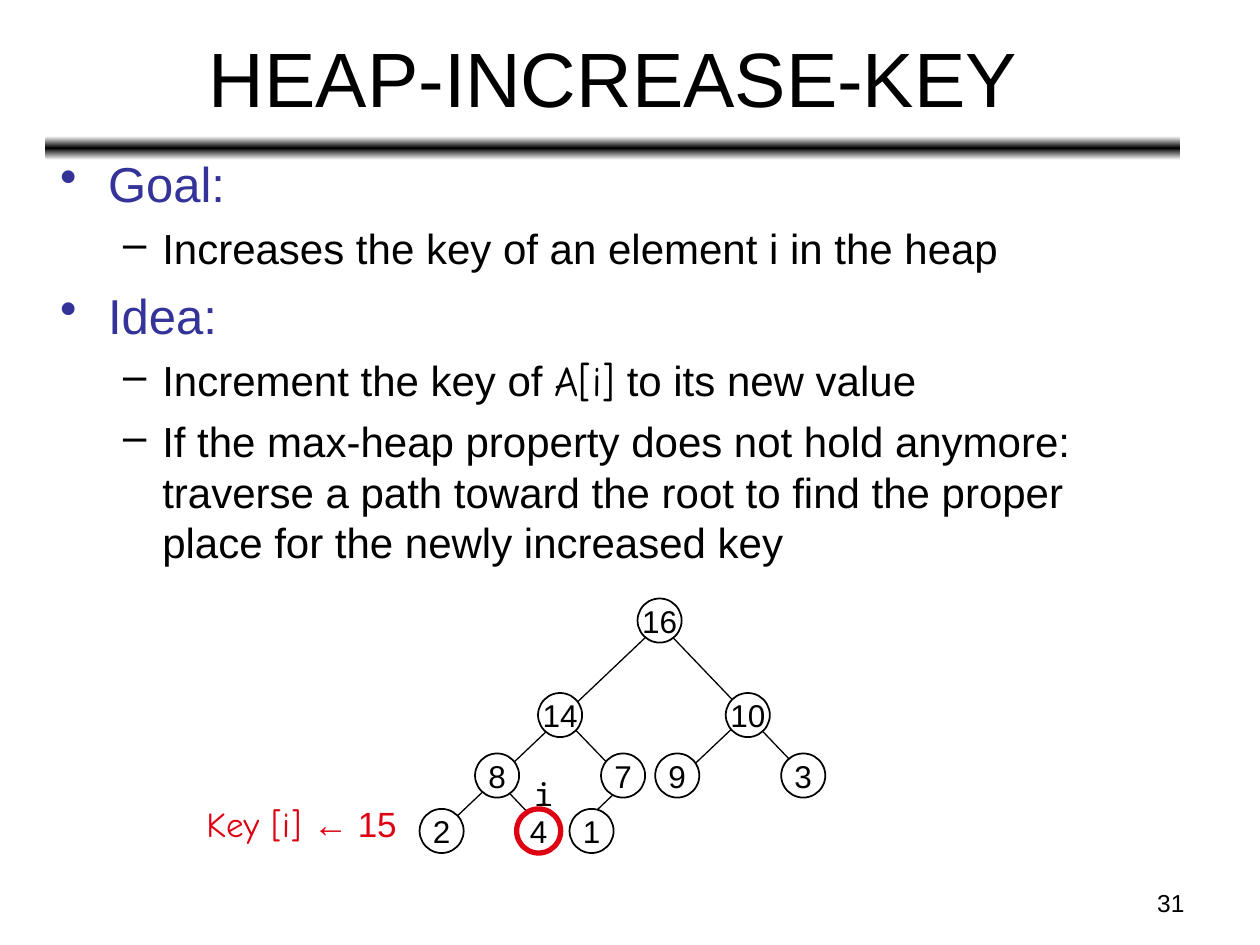
from typing import NamedTuple

import pptx
import pptx.util
import pptx.dml.color
import pptx.enum.shapes
import pptx.enum.text
import pptx.oxml
import pptx.oxml.ns
import copy

Inches, Pt = pptx.util.Inches, pptx.util.Pt
RGB = pptx.dml.color.RGBColor
Shape = pptx.enum.shapes.MSO_SHAPE
Align = pptx.enum.text.PP_ALIGN
Anchor = pptx.enum.text.MSO_ANCHOR
Fit = pptx.enum.text.MSO_AUTO_SIZE
qn = pptx.oxml.ns.qn

BLACK = RGB(0, 0, 0)
WHITE = RGB(255, 255, 255)
NAVY = RGB(0x33, 0x33, 0x99)
RED = RGB(0xDD, 0x01, 0x11)
SANS, COMIC, MONO = "Arial", "Comic Neue", "Noto Sans Mono"
SIZE = 0.35


class Run(NamedTuple):
    text: str
    font: str = SANS


class Level(NamedTuple):
    size: int
    color: RGB
    bullet: str
    left: float
    hang: float
    before: int


class Node(NamedTuple):
    key: int
    left: float
    top: float
    color: RGB = BLACK
    width: float = 1


class Edge(NamedTuple):
    x1: float
    y1: float
    x2: float
    y2: float


HEAD = Level(28, NAVY, "•", 0.38, 0.38, 7)
ITEM = Level(24, BLACK, "–", 0.81, 0.31, 6)

BODY = [
    (HEAD, [Run("Goal:")]),
    (ITEM, [Run("Increases the key of an element i in the heap")]),
    (HEAD, [Run("Idea:")]),
    (ITEM, [Run("Increment the key of "), Run("A[i]", COMIC), Run(" to its new value")]),
    (ITEM, [Run("If the max-heap property does not hold anymore: traverse a path "
                "toward the root to find the proper place for the newly increased key")]),
]

ROWS = [4.75, 5.5, 5.98, 6.42]
NODES = [
    Node(16, 5.06, ROWS[0]),
    Node(14, 4.27, ROWS[1]), Node(10, 5.76, ROWS[1]),
    Node(8, 3.77, ROWS[2]), Node(7, 4.77, ROWS[2]),
    Node(9, 5.2, ROWS[2]), Node(3, 6.2, ROWS[2]),
    Node(2, 3.33, ROWS[3]), Node(4, 4.1, ROWS[3], RED, 3), Node(1, 4.52, ROWS[3]),
]
# Some edges run on behind the nodes and serve several levels.
EDGES = [
    Edge(4.57, 6.59, 5.02, 6.16), Edge(5.38, 6.19, 5.94, 5.66),
    Edge(4.36, 6.63, 3.83, 6.07), Edge(4.96, 6.2, 4.42, 5.64),
    Edge(6.46, 6.23, 5.13, 4.84), Edge(3.52, 6.58, 5.27, 4.92),
]


def write(para, runs: list[Run], *, size: float, color: RGB = BLACK,
          align: Align = Align.LEFT) -> None:
    para.alignment = align
    for part in runs:
        run = para.add_run()
        run.text = part.text
        run.font.name = part.font
        run.font.size = Pt(size)
        run.font.color.rgb = color


def add_text(slide, runs: list[Run], left: float, top: float, width: float,
             height: float, *, wrap: bool = False, **style) -> None:
    box = slide.shapes.add_textbox(Inches(left), Inches(top), Inches(width), Inches(height))
    frame = box.text_frame
    frame.word_wrap = wrap
    frame.auto_size = Fit.NONE if wrap else Fit.SHAPE_TO_FIT_TEXT
    write(frame.paragraphs[0], runs, **style)


def set_bullet(para, level: Level) -> None:
    props = para._p.get_or_add_pPr()
    props.set("marL", str(Inches(level.left)))
    props.set("indent", str(-Inches(level.hang)))
    mark = pptx.oxml.parse_xml(
        '<a:buChar xmlns:a="http://schemas.openxmlformats.org/drawingml/2006/main" '
        f'char="{level.bullet}"/>')
    props.append(mark)


def add_bar(slide) -> None:
    """Draw the rule under the title, fading from black to white both ways."""
    bar = slide.shapes.add_shape(Shape.ROUNDED_RECTANGLE, Inches(0.36), Inches(1.08),
                                 Inches(9.01), Inches(0.19))
    bar.shadow.inherit = False
    bar.line.fill.background()
    bar.fill.gradient()
    bar.fill.gradient_angle = 90
    for stop in bar.fill.gradient_stops:
        stop.color.rgb = WHITE
    stops = bar._element.spPr.find(".//" + qn("a:gsLst"))
    mid = copy.deepcopy(stops[0])
    mid.set("pos", "50000")
    stops.insert(1, mid)
    bar.fill.gradient_stops[1].color.rgb = BLACK


def add_body(slide) -> None:
    box = slide.shapes.add_textbox(Inches(0.38), Inches(1.17), Inches(9), Inches(5.55))
    frame = box.text_frame
    frame.word_wrap = True
    for i, (level, runs) in enumerate(BODY):
        para = frame.add_paragraph() if i else frame.paragraphs[0]
        para.space_before = Pt(level.before)
        write(para, runs, size=level.size, color=level.color)
        set_bullet(para, level)


def add_edge(slide, edge: Edge) -> None:
    line = slide.shapes.add_connector(pptx.enum.shapes.MSO_CONNECTOR.STRAIGHT,
                                      *(Inches(v) for v in edge))
    line.line.color.rgb = BLACK
    line.line.width = Pt(0.75)
    line._element.spPr.append(pptx.oxml.xmlchemy.OxmlElement("a:effectLst"))


def add_node(slide, node: Node) -> None:
    oval = slide.shapes.add_shape(Shape.OVAL, Inches(node.left), Inches(node.top),
                                  Inches(SIZE), Inches(SIZE))
    oval.shadow.inherit = False
    oval.fill.solid()
    oval.fill.fore_color.rgb = WHITE
    oval.line.color.rgb = node.color
    oval.line.width = Pt(node.width)
    frame = oval.text_frame
    frame.word_wrap = False
    frame.vertical_anchor = Anchor.MIDDLE
    write(frame.paragraphs[0], [Run(str(node.key))], size=18, align=Align.CENTER)


def main() -> None:
    deck = pptx.Presentation()
    deck.slide_width, deck.slide_height = Inches(10), Inches(7.5)
    slide = deck.slides.add_slide(deck.slide_layouts[5])

    add_bar(slide)
    title = slide.shapes.title
    title.left, title.top = Inches(0.37), Inches(0.11)
    title.width, title.height = Inches(9), Inches(0.99)
    title.text_frame.vertical_anchor = Anchor.MIDDLE
    write(title.text_frame.paragraphs[0], [Run("HEAP-INCREASE-KEY")], size=44,
          align=Align.CENTER)

    add_body(slide)
    for edge in EDGES:
        add_edge(slide, edge)
    for node in NODES:
        add_node(slide, node)
    add_text(slide, [Run("i", MONO)], 4.14, 6.1, 0.26, 0.4, size=18)
    add_text(slide, [Run("Key [i] ", COMIC), Run("← 15")], 1.54, 6.32, 1.78, 0.44,
             size=20, color=RED)
    add_text(slide, [Run("31")], 7.17, 7, 2.33, 0.35, wrap=True, size=14, align=Align.RIGHT)
    deck.save("out.pptx")


if __name__ == "__main__":
    main()
